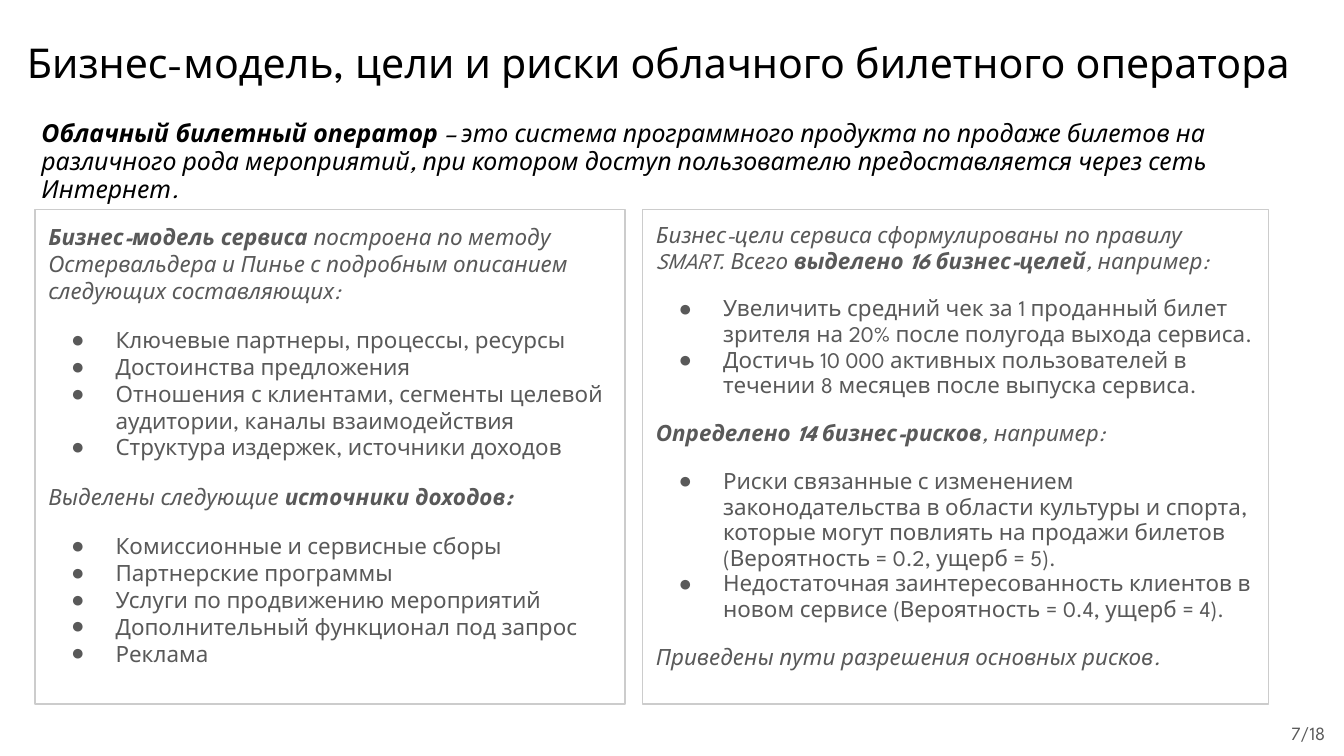
"""Build the slide on the business model, goals and risks of a cloud ticket operator."""
from dataclasses import dataclass

from lxml import etree
from pptx import Presentation
from pptx import util as u
from pptx.dml.color import RGBColor
from pptx.enum import text
from pptx.oxml.ns import qn

PX = 9144


@dataclass(frozen=True)
class Theme:
    """Colours, font and type sizes."""
    font: str = "League Spartan"
    ink: str = "000000"
    body: str = "595959"
    border: str = "CCCCCC"
    panel: str = "FFFFFF"
    title_size: float = 22
    lead_size: float = 13.3
    body_size: float = 12
    page_size: float = 10
    gap: float = 12


THEME = Theme()
BREAK = "\n"

MODEL = [
    [("Бизнес-модель сервиса", "bi"),
     (" построена по методу Остервальдера и Пинье с подробным описанием следующих составляющих:", "i")],
    "Ключевые партнеры, процессы, ресурсы",
    "Достоинства предложения",
    "Отношения с клиентами, сегменты целевой аудитории, каналы взаимодействия",
    "Структура издержек, источники доходов",
    [("Выделены следующие ", "i"), ("источники доходов:", "bi")],
    "Комиссионные и сервисные сборы",
    "Партнерские программы",
    "Услуги по продвижению мероприятий",
    "Дополнительный функционал под запрос",
    "Реклама",
]
GOALS_AND_RISKS = [
    [("Бизнес-цели сервиса сформулированы по правилу SMART. Всего ", "i"),
     ("выделено 16 бизнес-целей", "bi"), (", например:", "i")],
    "Увеличить средний чек за 1 проданный билет зрителя на 20% после полугода выхода сервиса.",
    "Достичь 10 000 активных пользователей в течении 8 месяцев после выпуска сервиса.",
    [("Определено 14 бизнес-рисков", "bi"), (", например:", "i")],
    "Риски связанные с изменением законодательства в области культуры и спорта, "
    "которые могут повлиять на продажи билетов \n(Вероятность = 0.2, ущерб = 5).",
    "Недостаточная заинтересованность клиентов в новом сервисе (Вероятность = 0.4, ущерб = 4).",
    [("Приведены пути разрешения основных рисков.", "i")],
]
DEFINITION = [
    ("Облачный билетный оператор", "bi"),
    (" – это система программного продукта по продаже билетов на различного рода мероприятий, "
     "при котором доступ пользователю предоставляется через сеть Интернет.", "i"),
]


def apply(target, values):
    """Set every attribute named in values."""
    for name, value in values.items():
        setattr(target, name, value)


def place(shape, box):
    """Move a shape to a left, top, width, height box in px."""
    apply(shape, dict(zip(("left", "top", "width", "height"), (side * PX for side in box))))


def format_frame(frame, anchor=text.MSO_ANCHOR.TOP, fit=text.MSO_AUTO_SIZE.NONE):
    """Give a text frame equal insets, wrapping, anchor and fit."""
    insets = {f"margin_{side}": 10 * PX for side in ("left", "top", "right", "bottom")}
    apply(frame, {**insets, "word_wrap": True, "vertical_anchor": anchor, "auto_size": fit})


def write_runs(paragraph, runs, size, color):
    """Write (words, style) runs, where style holds b for bold and i for italic."""
    for words, style in runs:
        for index, line in enumerate(words.split(BREAK)):
            if index:
                paragraph.add_line_break()
            run = paragraph.add_run()
            run.text = line
            apply(run.font, {"name": THEME.font, "size": u.Pt(size),
                             "bold": "b" in style, "italic": "i" in style})
            run.font.color.rgb = RGBColor.from_string(color)


def set_bullet(paragraph, bulleted):
    """Give a paragraph a hanging round bullet, or none."""
    properties = paragraph._p.get_or_add_pPr()
    properties.set("marL", str(50 * PX if bulleted else 0))
    properties.set("indent", str(-33 * PX if bulleted else 0))
    if not bulleted:
        etree.SubElement(properties, qn("a:buNone"))
        return
    color = etree.SubElement(properties, qn("a:buClr"))
    etree.SubElement(color, qn("a:srgbClr"), val=THEME.body)
    etree.SubElement(properties, qn("a:buChar"), char="●")


def fill_panel(panel, box, entries, spacing):
    """Turn a body placeholder into a bordered panel of statements and bulleted lists."""
    place(panel, box)
    panel.fill.solid()
    panel.fill.fore_color.rgb = RGBColor.from_string(THEME.panel)
    panel.line.color.rgb = RGBColor.from_string(THEME.border)
    panel.line.width = u.Pt(0.75)
    frame = panel.text_frame
    format_frame(frame)
    for previous, entry in zip([None] + entries, entries):
        paragraph = frame.paragraphs[0] if previous is None else frame.add_paragraph()
        bulleted = isinstance(entry, str)
        new_group = previous is not None and bulleted != isinstance(previous, str)
        set_bullet(paragraph, bulleted)
        apply(paragraph, {"space_before": u.Pt(THEME.gap if new_group else 0),
                          "space_after": u.Pt(0), "line_spacing": spacing,
                          "alignment": text.PP_ALIGN.LEFT})
        write_runs(paragraph, [(entry, "")] if bulleted else entry, THEME.body_size, THEME.body)


def fill_line(shape, box, runs, size, color, values, **frame_values):
    """Place a shape and write its single paragraph."""
    place(shape, box)
    format_frame(shape.text_frame, **frame_values)
    paragraph = shape.text_frame.paragraphs[0]
    apply(paragraph, values)
    write_runs(paragraph, runs, size, color)


def main():
    """Build and save the slide."""
    deck = Presentation()
    apply(deck, {"slide_width": 1000 * PX, "slide_height": 1000 * PX * 9 // 16})
    slide = deck.slides.add_slide(deck.slide_layouts[3])
    title, model, goals = slide.placeholders

    fill_panel(model, (26, 156, 439, 368), MODEL, 1.0)
    fill_panel(goals, (478, 156, 466, 368), GOALS_AND_RISKS, 0.95)
    fill_line(title, (10, 18, 982, 63),
              [("Бизнес-модель, цели и риски облачного билетного оператора", "")],
              THEME.title_size, THEME.ink, {"alignment": text.PP_ALIGN.LEFT})

    definition = slide.shapes.add_textbox(0, 0, PX, PX)
    fill_line(definition, (21, 79, 941, 63), DEFINITION, THEME.lead_size, THEME.ink,
              {"line_spacing": 0.95, "space_after": u.Pt(THEME.gap)},
              fit=text.MSO_AUTO_SIZE.SHAPE_TO_FIT_TEXT)

    page = slide.shapes.add_textbox(0, 0, PX, PX)
    fill_line(page, (936, 524, 60, 43), [("7/18", "")], THEME.page_size, THEME.body,
              {"alignment": text.PP_ALIGN.RIGHT}, anchor=text.MSO_ANCHOR.MIDDLE)
    deck.save("out.pptx")


if __name__ == "__main__":
    main()
